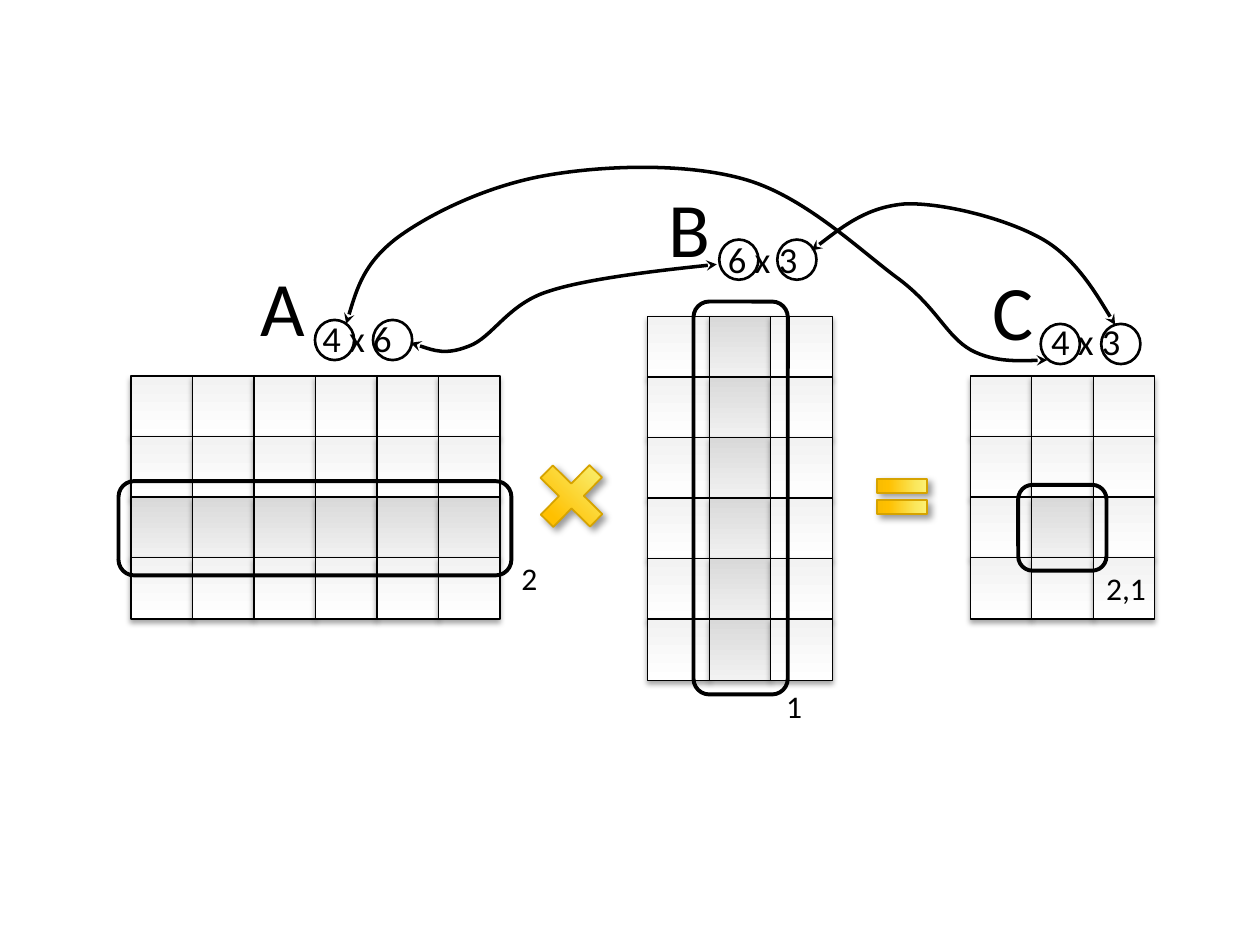
import pptx
import pptx.dml.color
import pptx.enum.shapes
import pptx.enum.text
import pptx.oxml
import pptx.oxml.ns
import pptx.util
from lxml import etree

Cm, Pt = pptx.util.Cm, pptx.util.Pt
SHAPE = pptx.enum.shapes.MSO_SHAPE
qn = pptx.oxml.ns.qn
CELL_W, CELL_H = 1.24, 1.22


def color(hex_text):
    return pptx.dml.color.RGBColor.from_string(hex_text)


def add_text(p, text, size=18, font="Calibri", fill="000000", baseline=None):
    r = p.add_run()
    r.text = text
    r.font.size, r.font.name = Pt(size), font
    r.font.color.rgb = color(fill)
    if baseline is not None:
        r.font._element.set("baseline", str(baseline * 1000))
    return r


def set_gradient(sp, stops, angle):
    """Fill with (percent, hex) stops; the angle runs clockwise."""
    sp.fill.background()
    old = sp._element.spPr.find(qn("a:noFill"))
    marks = "".join(f'<a:gs pos="{pos * 1000}"><a:srgbClr val="{c}"/></a:gs>' for pos, c in stops)
    old.getparent().replace(old, pptx.oxml.parse_xml(
        f'<a:gradFill {pptx.oxml.ns.nsdecls("a")} rotWithShape="1"><a:gsLst>{marks}</a:gsLst>'
        f'<a:lin ang="{angle * 60000}" scaled="0"/></a:gradFill>'))


def set_shadow(sp, alpha, blur, dist, angle):
    effects = sp._element.spPr.find(qn("a:effectLst"))
    shadow = etree.SubElement(effects, qn("a:outerShdw"), blurRad=str(Pt(blur)),
                              dist=str(Pt(dist)), dir=str(angle * 60000), rotWithShape="0")
    c = etree.SubElement(shadow, qn("a:srgbClr"), val="000000")
    etree.SubElement(c, qn("a:alpha"), val=str(alpha * 1000))


class Diagram:
    ink = "000000"
    plain = [(0, "FFFFFF"), (100, "F2F2F2")]
    marked = [(0, "F2F2F2"), (100, "D9D9D9")]
    gold = [(0, "FFFA8F"), (30, "FAE75C"), (70, "FFC000"), (100, "F2B800")]
    gold_line = "D6A300"

    def __init__(self, slide):
        self.s = slide

    def shape(self, kind, x, y, w, h, line=None, width=0.75, rotation=0):
        sp = self.s.shapes.add_shape(kind, Cm(x), Cm(y), Cm(w), Cm(h))
        sp.shadow.inherit = False
        sp.fill.background()
        sp.line.color.rgb, sp.line.width = color(line or self.ink), Pt(width)
        sp.rotation = rotation
        return sp

    def matrix(self, x, y, rows, cols, is_marked):
        for row in range(rows):
            for col in range(cols):
                sp = self.shape(SHAPE.RECTANGLE, x + col * CELL_W, y + row * CELL_H, CELL_W, CELL_W)
                set_gradient(sp, self.marked if is_marked(row, col) else self.plain, 270)
                set_shadow(sp, 35, 3.1, 1.8, 90)

    def operator(self, kind, x, y, w, h, angle, rotation=0):
        sp = self.shape(kind, x, y, w, h, self.gold_line, 1, rotation)
        set_gradient(sp, self.gold, angle)
        set_shadow(sp, 40, 4, 3, 45)
        return sp

    def label(self, x, y, w, h):
        """Add an empty text box and return its paragraph."""
        tf = self.s.shapes.add_textbox(Cm(x), Cm(y), Cm(w), Cm(h)).text_frame
        tf.word_wrap = False
        tf.auto_size = pptx.enum.text.MSO_AUTO_SIZE.SHAPE_TO_FIT_TEXT
        return tf.paragraphs[0]

    def curve(self, points):
        """Draw a two-headed arrow: a start, then three Bezier points per segment."""
        builder = self.s.shapes.build_freeform(Cm(points[0][0]), Cm(points[0][1]))
        builder.add_line_segments([(Cm(x), Cm(y)) for x, y in points[1:]], close=False)
        sp = builder.convert_to_shape()
        sp.shadow.inherit = False
        sp.fill.background()
        sp.line.color.rgb, sp.line.width = color(self.ink), Pt(2)
        path = sp._element.spPr.find(".//" + qn("a:path"))
        steps = path.findall(qn("a:lnTo"))
        for i in range(0, len(steps), 3):
            bezier = etree.SubElement(path, qn("a:cubicBezTo"))
            for step in steps[i:i + 3]:
                bezier.append(step[0])
                path.remove(step)
        ln = sp.line._get_or_add_ln()
        for end in ("a:headEnd", "a:tailEnd"):
            etree.SubElement(ln, qn(end), type="stealth")


def main():
    prs = pptx.Presentation()
    prs.slide_width, prs.slide_height = Cm(25.4), Cm(19.05)
    d = Diagram(prs.slides.add_slide(prs.slide_layouts[6]))

    d.matrix(2.64, 7.58, 4, 6, lambda row, col: row == 2)
    d.matrix(13.06, 6.38, 6, 3, lambda row, col: col == 1)
    d.matrix(19.56, 7.58, 4, 3, lambda row, col: (row, col) == (2, 1))

    times = d.operator(SHAPE.CROSS, 10.82, 9.3, 1.4, 1.4, 90, rotation=44.5)
    times.adjustments[0] = 0.374
    d.operator(SHAPE.MATH_EQUAL, 17.5, 9.4, 1.37, 1.22, 180)

    for x, y, w, h, rotation in [(2.39, 9.7, 7.92, 1.9, 0), (10.97, 9.09, 7.92, 1.9, 90),
                                 (20.55, 9.75, 1.73, 1.78, 90)]:
        d.shape(SHAPE.ROUNDED_RECTANGLE, x, y, w, h, width=2.25, rotation=rotation)

    for name, dims, x, y, w in [("A ", "4 x 6", 5, 5.11, 3.4), ("B ", "6 x 3", 13.23, 3.51, 3.35),
                                ("C ", "4 x 3", 19.76, 5.18, 3.33)]:
        p = d.label(x, y, w, 2.13)
        add_text(p, name, size=44)
        add_text(p, dims, size=36, baseline=-25)

    for y, lefts in [(6.45, (6.35, 7.52)), (4.83, (14.5, 15.67)), (6.53, (20.98, 22.2))]:
        for x in lefts:
            d.shape(SHAPE.OVAL, x, y, 0.79, 0.81, width=1.5)

    d.curve([(8.28, 6.91), (8.64, 7.04), (8.99, 7.16), (9.45, 6.98),
             (9.93, 6.81), (10.24, 6.12), (11.07, 5.87),
             (11.91, 5.59), (14.45, 5.33), (14.45, 5.33)])
    d.curve([(6.98, 6.53), (7.16, 5.92), (7.34, 5.31), (8, 4.8),
             (8.69, 4.29), (9.86, 3.73), (11.05, 3.53),
             (12.22, 3.33), (13.89, 3.28), (15.06, 3.63),
             (16.26, 3.99), (17.37, 5.08), (18.14, 5.64),
             (18.9, 6.22), (19.08, 6.78), (19.58, 7.06),
             (20.07, 7.32), (21.11, 7.26), (21.11, 7.26)])
    d.curve([(16.36, 5.05), (16.94, 4.6), (17.5, 4.17), (18.26, 4.11),
             (19.05, 4.09), (20.32, 4.42), (21.03, 4.83),
             (21.72, 5.23), (22.48, 6.55), (22.48, 6.55)])

    for text, x, y, w in [("2", 10.26, 11.15, 0.84), ("1", 15.6, 13.72, 0.84), ("2,1", 22.05, 11.35, 1.32)]:
        add_text(d.label(x, y, w, 1.02), text)

    prs.save("out.pptx")


if __name__ == "__main__":
    main()
